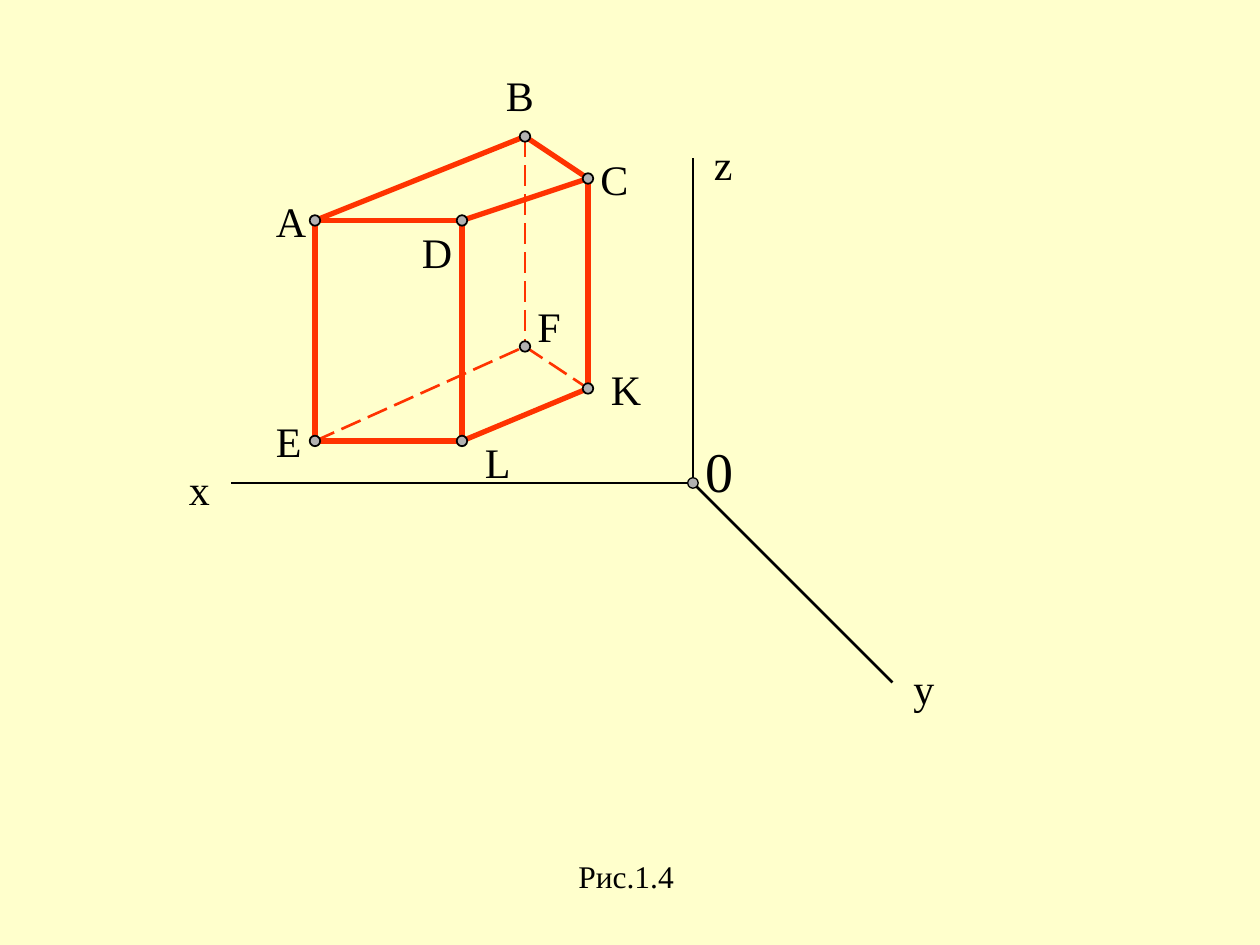
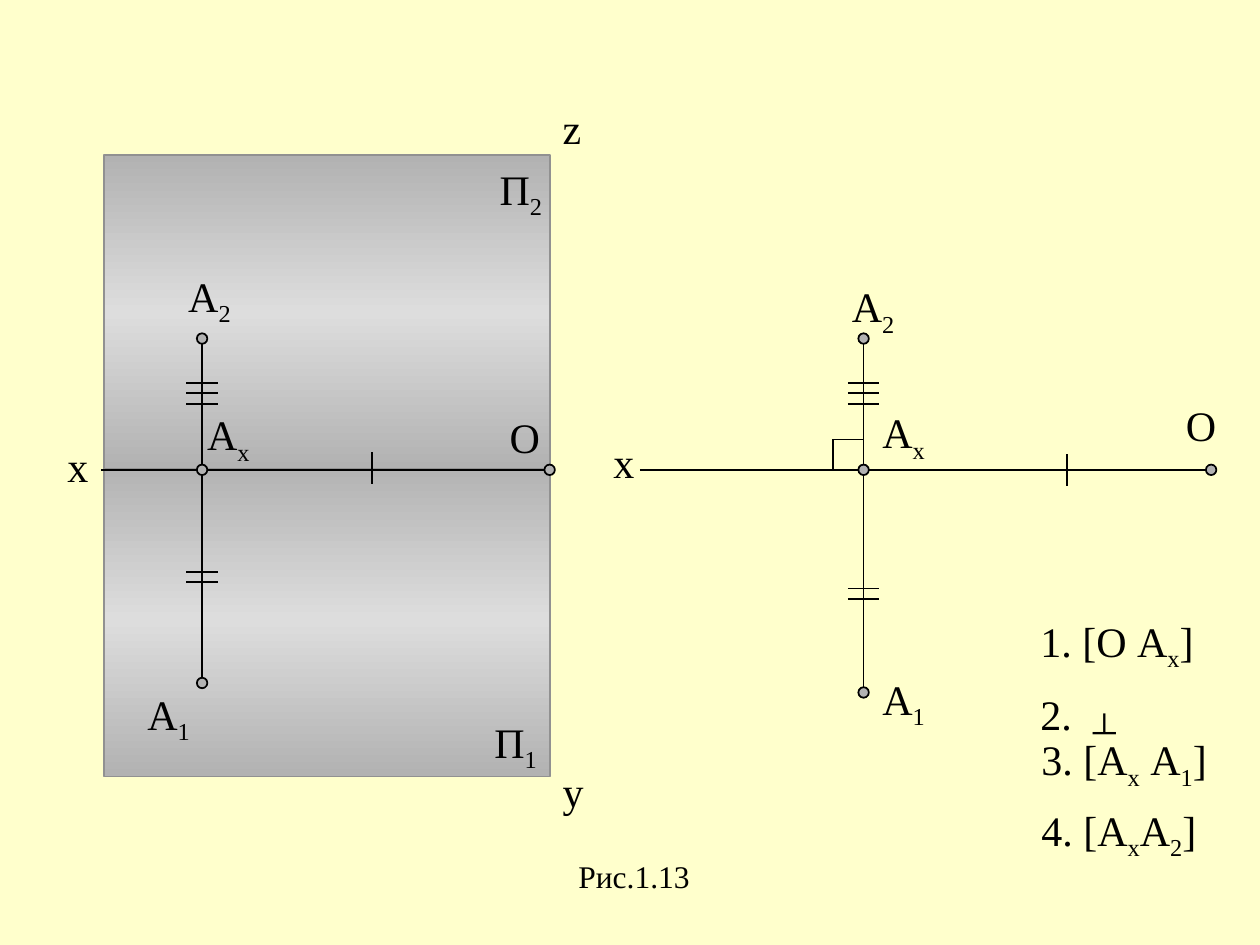
import copy
import pptx
import pptx.dml.color
import pptx.enum.dml
import pptx.enum.shapes
import pptx.enum.text
import pptx.oxml.ns
import pptx.util
from lxml import etree

COLORS = {
    "background": "FFFFCC",
    "ink": "000000",
    "prism": "FF3300",
    "point": "B2B2B2",
    "plane edge": "919191",
    "plane shine": "DDDDDD",
}
FONT = "Times New Roman"
COLUMNS, ROWS = 120, 90
CELL = pptx.util.Inches(10) / COLUMNS
LABEL_WIDTHS = {  # in cells; one capital letter takes 5.2
    "z": 4.2, "x": 4.3, "х": 4.3, "y": 4.3, "B": 5, "C": 5, "0": 5,
    "E": 4.8, "L": 4.8, "F": 4.6,
}
INDEXED_WIDTH = 6.5


def cells(count):
    return round(count * CELL)


def rgb(name):
    return pptx.dml.color.RGBColor.from_string(COLORS[name])


class Region:
    """Draws on a slide in cells, counted from its own origin."""

    def __init__(self, slide, left, top):
        self.shapes = slide.shapes
        self.left, self.top = left, top

    def place(self, x, y):
        return cells(self.left + x), cells(self.top + y)

    def line(self, start, end, color="ink", weight=1, dashed=False):
        connector = self.shapes.add_connector(
            pptx.enum.shapes.MSO_CONNECTOR.STRAIGHT, *self.place(*start), *self.place(*end))
        connector.line.color.rgb = rgb(color)
        connector.line.width = pptx.util.Pt(weight)
        if dashed:
            connector.line.dash_style = pptx.enum.dml.MSO_LINE.LONG_DASH
        etree.SubElement(connector._element.spPr, pptx.oxml.ns.qn("a:effectLst"))

    def shape(self, kind, x, y, width, height, edge, weight):
        shape = self.shapes.add_shape(kind, *self.place(x, y), cells(width), cells(height))
        shape.shadow.inherit = False
        shape.line.color.rgb = rgb(edge)
        shape.line.width = pptx.util.Pt(weight)
        return shape

    def dot(self, x, y, weight=1):
        dot = self.shape(pptx.enum.shapes.MSO_SHAPE.OVAL, x - 0.5, y - 0.5, 1, 1, "ink", weight)
        dot.fill.solid()
        dot.fill.fore_color.rgb = rgb("point")

    def plane(self, x, y, width, height):
        plane = self.shape(pptx.enum.shapes.MSO_SHAPE.RECTANGLE, x, y, width, height,
                           "plane edge", 0.75)
        plane.fill.gradient()
        plane.fill.gradient_angle = 270
        stop_list = plane._element.xpath("./p:spPr/a:gradFill/a:gsLst")[0]
        stop_list.insert(1, copy.deepcopy(stop_list[0]))
        for stop, position, color in zip(plane.fill.gradient_stops, (0, 0.5, 1),
                                         ("point", "plane shine", "point")):
            stop.position = position
            stop.color.rgb = rgb(color)

    def label(self, text, x, y, width=None, size=24, index_size=None, tab=None):
        """Write text whose every second part, split at "|", is a subscript.

        A given width is kept; otherwise the box hugs its letters.
        """
        parts = text.split("|")
        indexed = len(parts) > 1
        box_width = width or (INDEXED_WIDTH if indexed else LABEL_WIDTHS.get(text, 5.2))
        height = max(size, index_size or 0) / 5 + 1.2 + (0.7 if indexed else 0)
        box = self.shapes.add_textbox(*self.place(x, y), cells(box_width), cells(height))
        frame = box.text_frame
        frame.word_wrap = width is not None
        frame.auto_size = pptx.enum.text.MSO_AUTO_SIZE.SHAPE_TO_FIT_TEXT
        paragraph = frame.paragraphs[0]
        if tab:
            properties = paragraph._p.get_or_add_pPr()
            tabs = etree.SubElement(properties, pptx.oxml.ns.qn("a:tabLst"))
            etree.SubElement(tabs, pptx.oxml.ns.qn("a:tab"), pos=str(cells(tab)), algn="l")
        for number, part in enumerate(parts):
            run = paragraph.add_run()
            run.text = part
            run.font.name = FONT
            run.font.color.rgb = rgb("ink")
            run.font.size = pptx.util.Pt(size)
            if number % 2:
                run.font.size = pptx.util.Pt(index_size or size)
                run.font._element.set("baseline", "-25000")

    def strokes(self, count, x, y):
        """Mark a vertical segment with short strokes centred on a point."""
        for number in range(count):
            level = y + number - (count - 1) / 2
            self.line((x - 1.5, level), (x + 1.5, level))


def add_figure_slide(presentation, caption, caption_width):
    slide = presentation.slides.add_slide(presentation.slide_layouts[6])
    Region(slide, 0, 0).label(caption, 53.9, 0.9 * ROWS, caption_width, size=18)
    return slide


def draw_axes(slide, left, top):
    axes = Region(slide, left, top)
    for end in ((0, -31), (19, 19), (-44, 0)):
        axes.line((0, 0), end, weight=1.5)
    axes.label("z", 0.8, -33.4)
    axes.label("y", 19.8, 16.5)
    axes.label("x", -49.2, -2.4)
    axes.label("0", 0, -5, size=32)
    axes.dot(0, 0, weight=0.75)


def draw_prism(slide, left, top):
    prism = Region(slide, left, top)
    vertices = {
        "A": (0, 8), "B": (20, 0), "C": (26, 4), "D": (14, 8),
        "E": (0, 29), "F": (20, 20), "K": (26, 24), "L": (14, 29),
    }
    label_places = {
        "A": (-4.9, 5), "B": (17, -7), "C": (26, 1), "D": (9, 8),
        "E": (-4.9, 26), "F": (20, 15), "K": (27, 21), "L": (15, 28),
    }
    for start, end in ("AE", "DL", "DC", "CK", "LK", "BC", "FK", "BF", "AD", "EL", "EF", "AB"):
        hidden = "F" in (start, end)
        prism.line(vertices[start], vertices[end], "prism", 1.5 if hidden else 3, hidden)
    for name, place in label_places.items():
        prism.label(name, *place)
    for vertex in vertices.values():
        prism.dot(*vertex)


def draw_projections(slide, left, top, axis, depth, double_stroke, tick, labels):
    """Draw the projections of point A, with its foot on the x axis as origin."""
    drawing = Region(slide, left, top)
    height, end = -12.5, 33.1
    drawing.line((axis[0], 0), (axis[1], 0))
    for level in (height, depth):
        drawing.line((0, 0), (0, level))
    drawing.strokes(3, 0, -7.3)
    drawing.strokes(2, 0, double_stroke)
    drawing.line((tick[0], tick[1] - 1.5), (tick[0], tick[1] + 1.5))
    for point in ((0, height), (0, 0), (0, depth), (end, 0)):
        drawing.dot(*point)
    for text, x, y in labels:
        drawing.label(text, x, y)
    return drawing


def draw_planes(slide, left, top):
    planes = Region(slide, left, top)
    for y in (29.3, 0):
        planes.plane(0, y, 42.5, 29.9)
    for text, x, y in (("П|2", 36.5, 0.2), ("П|1", 36, 52.9), ("z", 42.5, -5.6), ("y", 42.5, 57.6)):
        planes.label(text, x, y)


def draw_right_angle(drawing, side):
    drawing.line((-side, -side), (-side, 0))
    drawing.line((0, -side), (-side, -side))


def draw_steps(slide, left, top):
    steps = Region(slide, left, top)
    width = COLUMNS - left - 1
    steps.label("1. [О А|х|]", 0, 0, width)
    steps.label("2.\t|┴", 0, 5.6, width, index_size=32, tab=5)
    steps.label("3. [А|х| А|1|]", 0.1, 11.3, width)
    steps.label("4. [A|x|A|2|]", 0.1, 18, width)


def build_prism_slide(presentation):
    slide = add_figure_slide(presentation, "Рис.1.4", 12)
    draw_axes(slide, 66, 46)
    draw_prism(slide, 30, 13)


def build_projection_slide(presentation):
    slide = add_figure_slide(presentation, "Рис.1.13", 14)
    draw_planes(slide, 9.9, 14.75)
    draw_projections(
        slide, 19.25, 44.75, axis=(-9.6, 32.6), depth=20.3, double_stroke=10.2, tick=(16.2, -0.2),
        labels=(("A|2", -2.5, -19.6), ("A|x", -0.7, -6.4), ("A|1", -6.4, 20.2),
                ("х", -14, -3.4), ("O", 28.1, -6.1)))
    drawing = draw_projections(
        slide, 82.25, 44.75, axis=(-21.3, 33.5), depth=21.2, double_stroke=11.8, tick=(19.4, 0),
        labels=(("A|2", -2.3, -18.6), ("A|x", 0.6, -6.6), ("A|1", 0.6, 18.8),
                ("х", -25, -3.8), ("О", 29.5, -7.3)))
    draw_right_angle(drawing, 2.9)
    draw_steps(slide, 97.9, 58)


def main():
    presentation = pptx.Presentation()
    presentation.slide_width = cells(COLUMNS)
    presentation.slide_height = cells(ROWS)
    background = presentation.slide_master.background.fill
    background.solid()
    background.fore_color.rgb = rgb("background")
    build_prism_slide(presentation)
    build_projection_slide(presentation)
    presentation.save("out.pptx")


if __name__ == "__main__":
    main()
